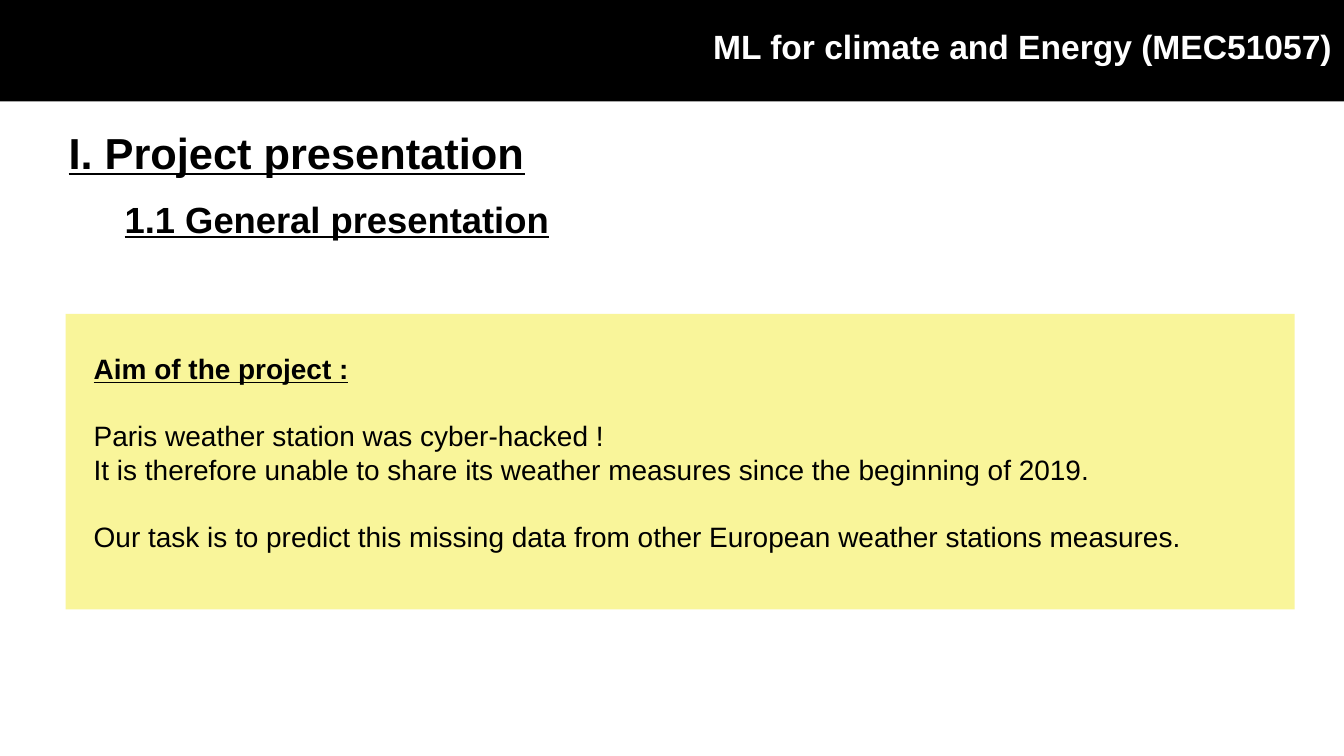
from dataclasses import dataclass

import pptx
import pptx.dml.color
import pptx.enum.shapes
import pptx.enum.text
import pptx.util

Inches = pptx.util.Inches
Pt = pptx.util.Pt
RGBColor = pptx.dml.color.RGBColor
Align = pptx.enum.text.PP_ALIGN
Anchor = pptx.enum.text.MSO_ANCHOR


@dataclass(frozen=True)
class Theme:
    font: str = "Arial"
    black: RGBColor = RGBColor(0, 0, 0)
    white: RGBColor = RGBColor(255, 255, 255)
    panel: RGBColor = RGBColor(0xF9, 0xF5, 0x9A)
    course_size: int = 48
    section_size: int = 62
    subsection_size: int = 52
    body_size: int = 40
    body_line: int = 48
    inset: float = 0.06


@dataclass(frozen=True)
class Box:
    left: float
    top: float
    width: float
    height: float

    def lengths(self) -> list:
        return [Inches(n) for n in (self.left, self.top, self.width, self.height)]


@dataclass(frozen=True)
class Heading:
    text: str
    box: Box
    size: int
    color: RGBColor
    alignment: Align
    underline: bool


@dataclass(frozen=True)
class BodyLine:
    text: str
    gap_before: bool = False
    title: bool = False


THEME = Theme()

HEADINGS = [
    Heading("ML for climate and Energy (MEC51057)", Box(14.09, 0.51, 12.44, 0.9),
            THEME.course_size, THEME.white, Align.LEFT, False),
    Heading("I. Project presentation", Box(1.28, 2.52, 9.21, 1.13),
            THEME.section_size, THEME.black, Align.CENTER, True),
    Heading("1.1 General presentation", Box(2.41, 3.9, 8.55, 0.98),
            THEME.subsection_size, THEME.black, Align.CENTER, True),
]

AIM = [
    BodyLine("Aim of the project :", title=True),
    BodyLine("Paris weather station was cyber-hacked !", gap_before=True),
    BodyLine("It is therefore unable to share its weather measures "
             "since the beginning of 2019."),
    BodyLine("Our task is to predict this missing data from other European "
             "weather stations measures.", gap_before=True),
]


def set_attributes(target, values: dict) -> None:
    for name, value in values.items():
        setattr(target, name, value)


def set_frame(frame, anchor: Anchor, wrap: bool, left: float, top: float) -> None:
    set_attributes(frame, {
        "vertical_anchor": anchor,
        "word_wrap": wrap,
        "margin_left": Inches(left),
        "margin_top": Inches(top),
        "margin_right": Inches(THEME.inset),
        "margin_bottom": Inches(THEME.inset),
    })


def write(paragraph, text: str, size: int, color: RGBColor,
          bold: bool, underline: bool) -> None:
    run = paragraph.add_run()
    run.text = text
    set_attributes(run.font, {"name": THEME.font, "size": Pt(size),
                              "bold": bold, "underline": underline})
    run.font.color.rgb = color


def add_panel(slide, box: Box, color: RGBColor):
    shape = slide.shapes.add_shape(
        pptx.enum.shapes.MSO_SHAPE.RECTANGLE, *box.lengths())
    shape.shadow.inherit = False
    shape.fill.solid()
    shape.fill.fore_color.rgb = color
    shape.line.fill.background()
    return shape


def add_heading(slide, heading: Heading) -> None:
    frame = slide.shapes.add_textbox(*heading.box.lengths()).text_frame
    set_frame(frame, Anchor.MIDDLE, False, THEME.inset, THEME.inset)
    frame.auto_size = pptx.enum.text.MSO_AUTO_SIZE.SHAPE_TO_FIT_TEXT
    paragraph = frame.paragraphs[0]
    set_attributes(paragraph, {"alignment": heading.alignment, "line_spacing": 0.9})
    write(paragraph, heading.text, heading.size, heading.color, True, heading.underline)


def add_aim(slide, box: Box, lines: list[BodyLine]) -> None:
    frame = add_panel(slide, box, THEME.panel).text_frame
    set_frame(frame, Anchor.TOP, True, left=0.56, top=0.74)
    for index, line in enumerate(lines):
        paragraph = frame.add_paragraph() if index else frame.paragraphs[0]
        set_attributes(paragraph, {
            "alignment": Align.LEFT,
            "line_spacing": Pt(THEME.body_line),
            "space_before": Pt(THEME.body_line if line.gap_before else 0),
        })
        write(paragraph, line.text, THEME.body_size, THEME.black, line.title, line.title)


def main() -> None:
    presentation = pptx.Presentation()
    set_attributes(presentation, {"slide_width": Inches(26.67),
                                  "slide_height": Inches(15)})
    slide = presentation.slides.add_slide(presentation.slide_layouts[6])
    add_aim(slide, Box(1.3, 6.23, 24.39, 5.86), AIM)
    add_panel(slide, Box(-0.15, -0.09, 27.21, 2.1), THEME.black)
    for heading in HEADINGS:
        add_heading(slide, heading)
    presentation.save("out.pptx")


if __name__ == "__main__":
    main()
